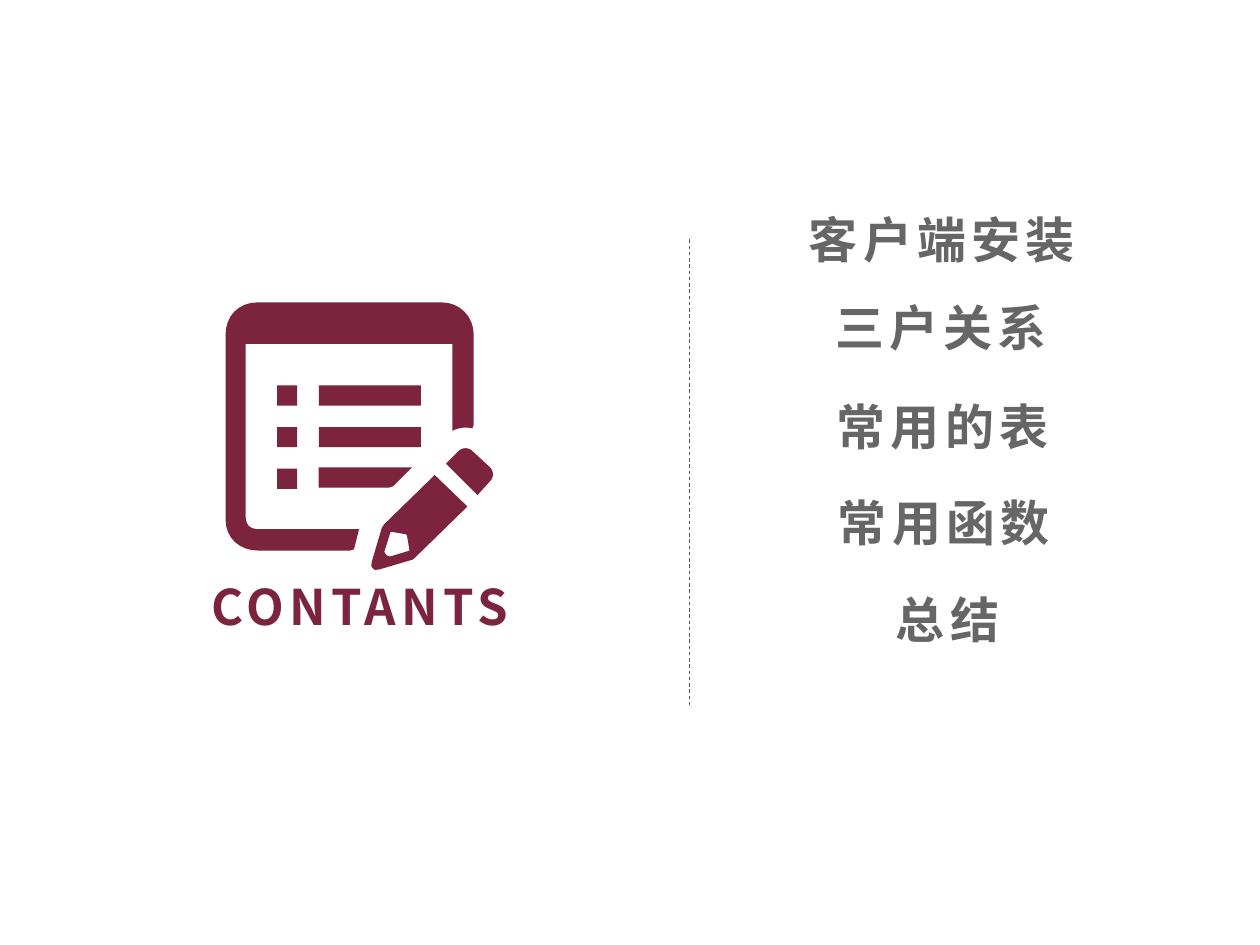
import pptx
import pptx.util
import pptx.dml.color
import pptx.enum.dml
import pptx.enum.shapes
import pptx.enum.text
import pptx.oxml
import pptx.oxml.ns

Inches = pptx.util.Inches
FONT = "Noto Sans CJK SC"
WINE, GREY, LINE_GREY = "7C233E", "666666", "595959"


def paint(fmt, color):
    """Give a fill or a font a solid colour."""
    if hasattr(fmt, "solid"):
        fmt.solid()
        fmt.fore_color.rgb = pptx.dml.color.RGBColor.from_string(color)
    else:
        fmt.color.rgb = pptx.dml.color.RGBColor.from_string(color)


def trace(outline, steps=8):
    """Turn points (x, y) and cubic curves (c1, c2, end) into EMU points."""
    points = []
    for item in outline:
        if len(item) == 2:
            points.append(item)
            continue
        start = points[-1]
        ctrl = [start, item[0:2], item[2:4], item[4:6]]
        for i in range(1, steps + 1):
            t = i / steps
            weights = [(1 - t) ** 3, 3 * t * (1 - t) ** 2, 3 * t * t * (1 - t), t ** 3]
            points.append(tuple(sum(w * c[k] for w, c in zip(weights, ctrl)) for k in (0, 1)))
    return [(Inches(x), Inches(y)) for x, y in points]


prs = pptx.Presentation()
prs.slide_width, prs.slide_height = Inches(10), Inches(7.5)
s = prs.slides.add_slide(prs.slide_layouts[6])

# Dashed divider
line = s.shapes.add_connector(pptx.enum.shapes.MSO_CONNECTOR.STRAIGHT,
                              Inches(5.47), Inches(1.9), Inches(5.47), Inches(5.6))
paint(line.line.fill, LINE_GREY)
line.line.width = pptx.util.Pt(0.5)
line.line.dash_style = pptx.enum.dml.MSO_LINE.DASH
line._element.spPr.append(pptx.oxml.parse_xml(
    "<a:effectLst %s/>" % pptx.oxml.ns.nsdecls("a")))

# Notepad and pencil icon
frame = [(2.85, 4.2), (2.81, 4.36), (2.78, 4.37), (2.05, 4.37),
         (1.9, 4.37, 1.79, 4.27, 1.79, 4.12), (1.79, 2.66),
         (1.79, 2.51, 1.89, 2.4, 2.05, 2.4), (3.5, 2.4),
         (3.65, 2.4, 3.76, 2.51, 3.76, 2.66), (3.76, 3.37), (3.75, 3.4),
         (3.7, 3.39, 3.65, 3.39, 3.59, 3.42), (3.59, 2.73), (1.95, 2.73),
         (1.95, 4.1), (1.95, 4.16, 1.98, 4.2, 2.05, 4.2)]
pencil = [(3.45, 3.77), (3.71, 4.02), (3.31, 4.41), (3.28, 4.44), (3.01, 4.52),
          (2.99, 4.52, 2.97, 4.53, 2.96, 4.51), (2.94, 4.5, 2.95, 4.48, 2.95, 4.46),
          (3.03, 4.19), (3.05, 4.16)]
tip = [(3.1, 4.22), (3.05, 4.38), (3.07, 4.42, 3.09, 4.42, 3.12, 4.41),
       (3.25, 4.37), (3.23, 4.25), (3.22, 4.24)]
eraser = [(3.54, 3.68), (3.64, 3.58), (3.67, 3.55, 3.72, 3.55, 3.75, 3.58),
          (3.89, 3.71), (3.92, 3.74, 3.92, 3.79, 3.89, 3.82), (3.79, 3.93)]
cut_bar = [(2.53, 3.71), (3.27, 3.71), (3.12, 3.86), (3.09, 3.87), (2.53, 3.87)]

icon = s.shapes.add_group_shape()
parts = []
for outlines in ([frame], [pencil, tip], [cut_bar], [eraser]):
    builder = None
    for outline in outlines:
        points = trace(outline)
        if builder is None:
            builder = icon.shapes.build_freeform(*points[0], scale=1.0)
        else:
            builder.move_to(*points[0])
        builder.add_line_segments(points[1:], close=True)
    parts.append(builder.convert_to_shape())

# List rows: bullet squares and full bars
for x, y, w in [(2.2, 3.06, 0.16), (2.2, 3.39, 0.16), (2.2, 3.72, 0.16),
                (2.53, 3.06, 0.81), (2.53, 3.39, 0.81)]:
    parts.append(icon.shapes.add_shape(pptx.enum.shapes.MSO_SHAPE.RECTANGLE,
                                       Inches(x), Inches(y), Inches(w), Inches(0.16)))
for sp in parts:
    sp.shadow.inherit = False
    paint(sp.fill, WINE)
    sp.line.fill.background()

# Agenda entries and icon caption
for text, x, y, w, color in [
        ("客户端安装", 6.26, 1.61, 2.43, GREY),
        ("三户关系", 6.49, 2.31, 1.96, GREY),
        ("常用的表", 6.5, 3.1, 1.96, GREY),
        ("常用函数", 6.51, 3.86, 1.96, GREY),
        ("总结", 6.54, 4.63, 1.96, GREY),
        ("CONTANTS", 1.4, 4.53, 2.91, WINE)]:
    tf = s.shapes.add_textbox(Inches(x), Inches(y), Inches(w), Inches(0.57)).text_frame
    tf.word_wrap = True
    tf.auto_size = pptx.enum.text.MSO_AUTO_SIZE.SHAPE_TO_FIT_TEXT
    p = tf.paragraphs[0]
    p.alignment = pptx.enum.text.PP_ALIGN.CENTER
    r = p.add_run()
    r.text = text
    r.font.size = pptx.util.Pt(28)
    r.font.bold = True
    r.font.name = FONT
    paint(r.font, color)
    rPr = r.font._element
    rPr.set("spc", "300")
    rPr.append(pptx.oxml.parse_xml(
        '<a:ea %s typeface="%s"/>' % (pptx.oxml.ns.nsdecls("a"), FONT)))

prs.save("out.pptx")
